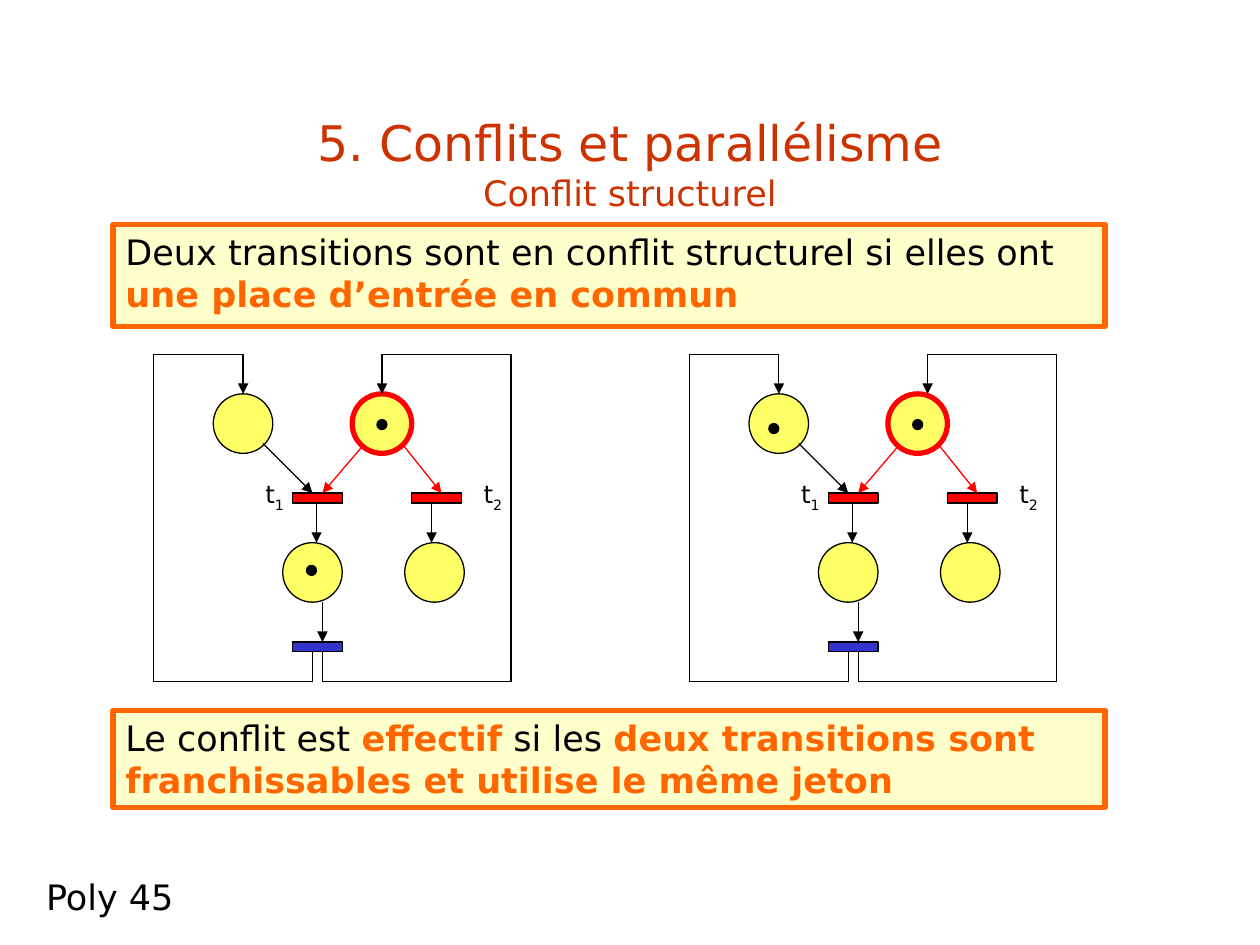
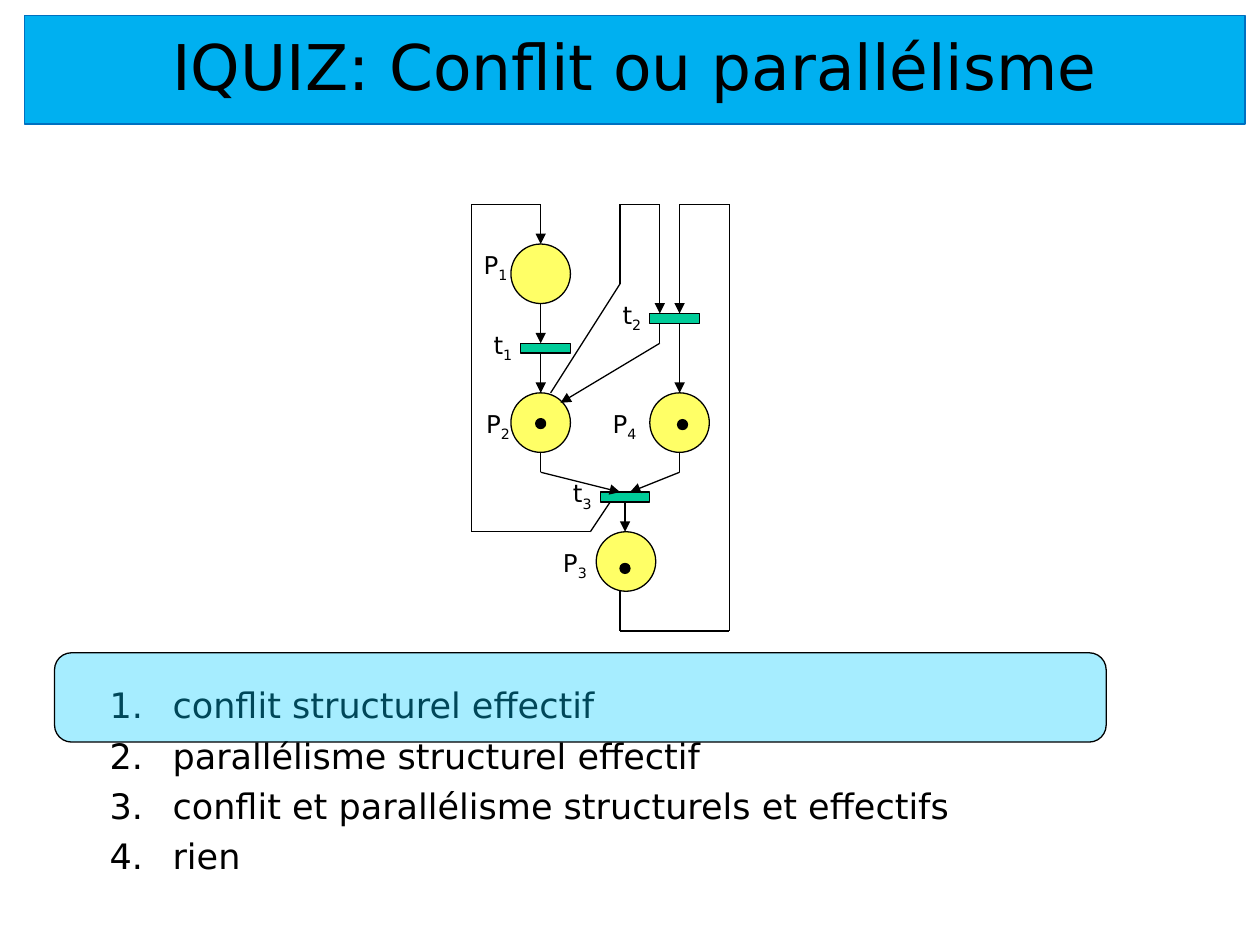
import dataclasses

import pptx
import pptx.dml.color
import pptx.enum.shapes
import pptx.enum.text
import pptx.oxml.ns
import pptx.util
from lxml import etree

SHAPE = pptx.enum.shapes.MSO_SHAPE
ALIGN = pptx.enum.text.PP_ALIGN
ANCHOR = pptx.enum.text.MSO_ANCHOR
qn = pptx.oxml.ns.qn


@dataclasses.dataclass(frozen=True)
class Theme:
    font: str = "DejaVu Sans"
    black: str = "000000"
    title: str = "CC3300"
    accent: str = "FF6600"
    note: str = "FFFFCC"
    place: str = "FFFF66"
    conflict: str = "FF0000"
    plain_bar: str = "3333CC"
    quiz_bar: str = "00CC99"
    band: str = "00B0F0"
    band_line: str = "0070C0"
    answer: str = "00CCFF"
    banner_pt: float = 36
    title_pt: float = 28
    body_pt: float = 20
    label_pt: float = 14
    thin: float = 0.75
    thick: float = 3


T = Theme()


# Slide grid: every length is counted in square cells of 2 mm
def cells(*values):
    return [round(v * pptx.util.Mm(2)) for v in values]


def rgb(code):
    return pptx.dml.color.RGBColor.from_string(code)


# Basic parts
def add_box(slide, kind, box, fill, line=T.black, width=T.thin):
    sp = slide.shapes.add_shape(kind, *cells(*box))
    sp.shadow.inherit = False
    sp.fill.solid()
    sp.fill.fore_color.rgb = rgb(fill)
    sp.line.color.rgb = rgb(line)
    sp.line.width = pptx.util.Pt(width)
    return sp


def add_text(slide, box):
    tf = slide.shapes.add_textbox(*cells(*box)).text_frame
    tf.word_wrap = True
    return tf


def add_run(p, text, size, color=T.black, bold=False):
    r = p.add_run()
    r.text = text
    r.font.name = T.font
    r.font.size = pptx.util.Pt(size)
    r.font.color.rgb = rgb(color)
    r.font.bold = bold
    return r


class PetriNet:
    """Petri net whose parts are placed in cells from its top left corner."""

    def __init__(self, slide, left, top):
        self.slide, self.left, self.top = slide, left, top

    def at(self, x, y):
        return self.left + x, self.top + y

    def place(self, x, y, line=T.black, width=T.thin):
        add_box(self.slide, SHAPE.OVAL, (*self.at(x, y), 6, 6), T.place, line, width)

    def token(self, x, y):
        add_box(self.slide, SHAPE.OVAL, (*self.at(x, y), 1, 1), T.black)

    def transition(self, x, y, fill):
        add_box(self.slide, SHAPE.RECTANGLE, (*self.at(x, y), 5, 1), fill)

    def label(self, letter, index, x, y):
        width = 5 if letter == "t" else 7
        p = add_text(self.slide, (*self.at(x, y), width, 4.2)).paragraphs[0]
        add_run(p, letter, T.label_pt)
        sub = add_run(p, index, T.label_pt)
        sub.font._element.set("baseline", "-25000")

    def arc(self, *points, color=T.black, arrow=True):
        """Joins the points by straight lines, with an arrowhead on the last."""
        for start, end in zip(points, points[1:]):
            cxn = self.slide.shapes.add_connector(
                pptx.enum.shapes.MSO_CONNECTOR.STRAIGHT,
                *cells(*self.at(*start), *self.at(*end)))
            cxn.line.color.rgb = rgb(color)
            cxn.line.width = pptx.util.Pt(T.thin)
            if arrow and end == points[-1]:
                etree.SubElement(cxn.line._get_or_add_ln(), qn("a:tailEnd"), type="triangle")
            etree.SubElement(cxn._element.spPr, qn("a:effectLst"))


# Conflict slide
def conflict_title(slide, box, heading, subheading):
    tf = add_text(slide, box)
    tf.vertical_anchor = ANCHOR.MIDDLE
    p = tf.paragraphs[0]
    p.alignment = ALIGN.CENTER
    add_run(p, heading, T.title_pt, T.title)
    p.add_line_break()
    add_run(p, subheading, T.body_pt, T.title)


def note(slide, box, *pieces):
    """Framed note; its pieces are plain and highlighted in turn."""
    sp = add_box(slide, SHAPE.RECTANGLE, box, T.note, T.accent, T.thick)
    tf = sp.text_frame
    tf.word_wrap = True
    tf.vertical_anchor = ANCHOR.TOP
    p = tf.paragraphs[0]
    p.alignment = ALIGN.LEFT
    for i, piece in enumerate(pieces):
        strong = i % 2 == 1
        add_run(p, piece, T.body_pt, T.accent if strong else T.black, strong)


def conflict_net(slide, left, top, tokens, shift=0):
    """Two transitions sharing a place; shift moves the right return loop."""
    net = PetriNet(slide, left, top)
    net.place(20, 4, T.conflict, T.thick)
    for x, y in [(6, 4), (13, 19), (25.3, 19)]:
        net.place(x, y)
    for x, y, fill in [(14, 14, T.conflict), (26, 14, T.conflict), (14, 29, T.plain_bar)]:
        net.transition(x, y, fill)
    net.label("t", "1", 10, 12)
    net.label("t", "2", 32, 12)
    for x, y in tokens:
        net.token(x, y)
    # Arcs from the shared place
    net.arc((21.1, 9.2), (17, 14), color=T.conflict)
    net.arc((25, 9), (29, 14), color=T.conflict)
    # Downward arcs
    net.arc((11, 9), (16, 14))
    net.arc((16.4, 15), (16.4, 19))
    net.arc((28, 15), (28, 19))
    net.arc((17, 25), (17, 29))
    # Return loops
    net.arc((16, 30), (16, 33), (0, 33), (0, 0), (9, 0), (9, 4))
    right, entry = 36 + shift, 23 + shift
    net.arc((17, 30), (17, 33), (right, 33), (right, 0), (entry, 0), (entry, 4))


def conflict_slide(prs):
    slide = prs.slides.add_slide(prs.slide_layouts[6])
    conflict_title(slide, (9.5, 8.5, 108, 15.9),
                   "5. Conflits et parallélisme", "Conflit structurel")
    note(slide, (11.4, 22.6, 100, 10.3),
         "Deux transitions sont en conflit structurel si elles ont ",
         "une place d’entrée en commun")
    conflict_net(slide, 15.5, 35.7, [(22.5, 6.6), (15.4, 21.3)])
    conflict_net(slide, 69.5, 35.7, [(22.5, 6.6), (8, 7)], shift=1)
    note(slide, (11.4, 71.6, 100, 9.8),
         "Le conflit est ", "effectif", " si les ",
         "deux transitions sont franchissables et utilise le même jeton")
    footer = add_text(slide, (3.4, 87.6, 18, 5.6))
    add_run(footer.paragraphs[0], "Poly 45", T.body_pt)


# Quiz slide
def banner(slide, box, text):
    sp = add_box(slide, SHAPE.RECTANGLE, box, T.band, T.band_line)
    tf = sp.text_frame
    tf.vertical_anchor = ANCHOR.TOP
    tf.margin_top = pptx.util.Inches(0.09)
    p = tf.paragraphs[0]
    p.alignment = ALIGN.CENTER
    add_run(p, text, T.banner_pt)


def quiz_net(slide, left, top):
    net = PetriNet(slide, left, top)
    for x, y in [(4, 4), (4, 19), (12.6, 33), (18, 19)]:
        net.place(x, y)
    for x, y in [(5, 14), (18, 11), (13, 29)]:
        net.transition(x, y, T.quiz_bar)
    for x, y in [(6.5, 21.6), (15, 36.2), (20.8, 21.7)]:
        net.token(x, y)
    for name, x, y in [("P1", 0, 4), ("P2", 0.25, 20), ("P3", 8, 34), ("P4", 13, 20),
                       ("t1", 1, 12), ("t2", 14, 9), ("t3", 9, 27)]:
        net.label(*name, x, y)
    # Left column: P1, t1, P2
    net.arc((7, 10), (7, 14))
    net.arc((7, 15), (7, 19))
    # Between P2, t2 and P4
    net.arc((8, 19), (15, 8), (15, 0), (19, 0), (19, 11))
    net.arc((19, 12), (19, 14), (9, 20))
    net.arc((21, 12), (21, 19))
    # Into and out of t3
    net.arc((7, 25), (7, 27), (15, 29))
    net.arc((21, 25), (21, 27), (16, 29))
    net.arc((15.5, 30), (15.5, 33))
    # Return loops to P1 and t2
    net.arc((14, 30), (12, 33), (0, 33), (0, 0), (7, 0), (7, 4))
    net.arc((15, 39), (15, 43), (26, 43), (26, 0), (21, 0), (21, 11))


def answers(slide, box, options):
    tf = add_text(slide, box)
    indent = pptx.util.Inches(0.5)
    for i, option in enumerate(options):
        p = tf.paragraphs[0] if i == 0 else tf.add_paragraph()
        pPr = p._p.get_or_add_pPr()
        pPr.set("marL", str(indent))
        pPr.set("indent", str(-indent))
        etree.SubElement(pPr, qn("a:buFont"), typeface=T.font)
        etree.SubElement(pPr, qn("a:buAutoNum"), type="arabicPeriod")
        if i:
            p.space_before = pptx.util.Pt(4.7)
        add_run(p, option, T.body_pt)


def answer_mark(slide, box):
    """Translucent frame over the right answer."""
    sp = add_box(slide, SHAPE.ROUNDED_RECTANGLE, box, T.answer)
    sp.adjustments[0] = 0.19
    color = sp._element.spPr.find(qn("a:solidFill"))[0]
    etree.SubElement(color, qn("a:alpha"), val="35000")


def quiz_slide(prs):
    slide = prs.slides.add_slide(prs.slide_layouts[6])
    quiz_net(slide, 47.5, 20.6)
    answers(slide, (9.8, 68.3, 108, 26), [
        "conflit structurel effectif",
        "parallélisme structurel effectif",
        "conflit et parallélisme structurels et effectifs",
        "rien",
    ])
    answer_mark(slide, (5.5, 65.8, 106, 9))
    banner(slide, (2.5, 1.6, 123, 10.9), "IQUIZ: Conflit ou parallélisme")


def main():
    prs = pptx.Presentation()
    prs.slide_width = pptx.util.Inches(10)
    prs.slide_height = pptx.util.Inches(7.5)
    conflict_slide(prs)
    quiz_slide(prs)
    prs.save("out.pptx")


if __name__ == "__main__":
    main()
